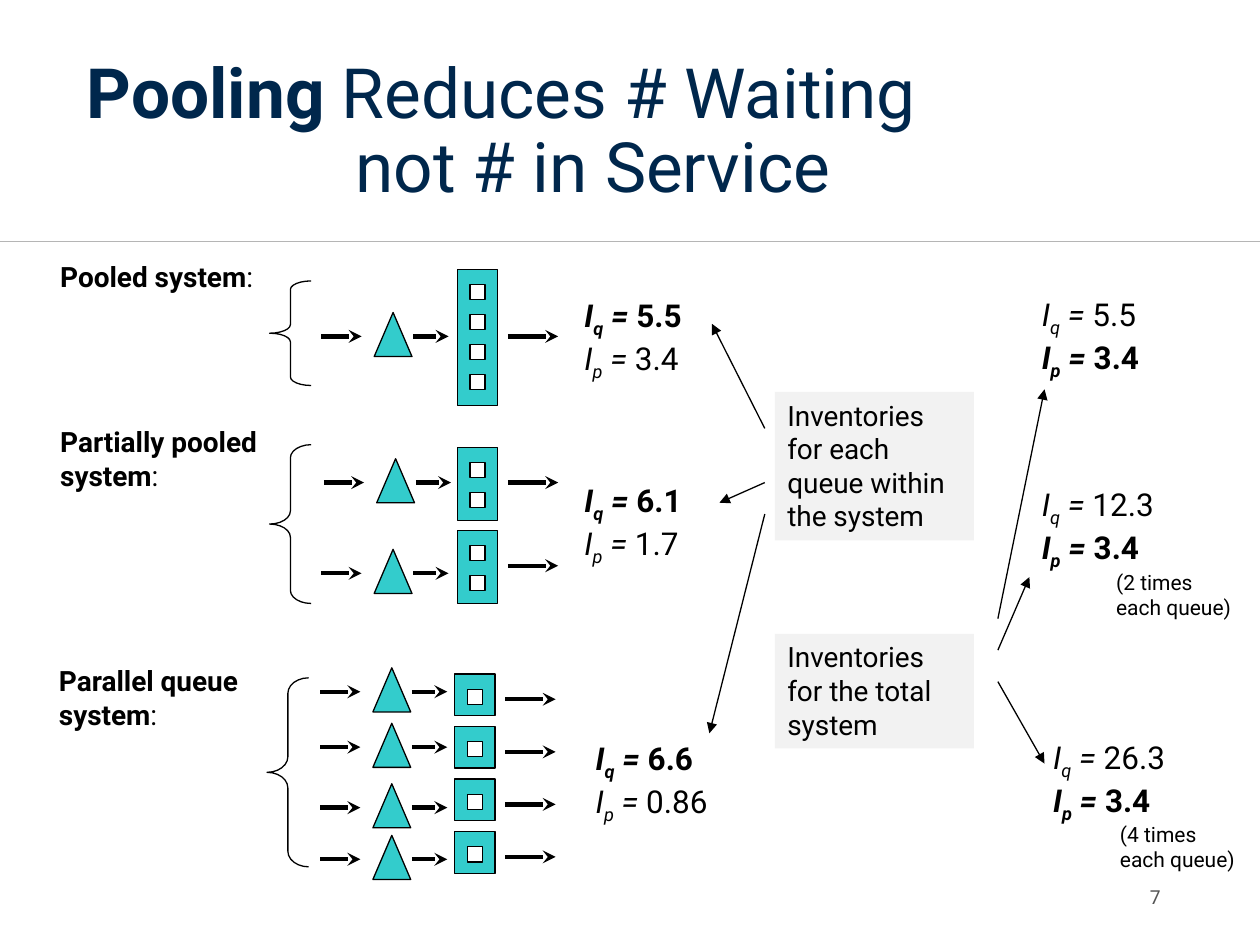
from lxml import etree
from pptx import Presentation
from pptx import util as u
from pptx.dml.color import RGBColor
from pptx.enum import shapes, text
from pptx.oxml.ns import qn

FONT = "Roboto"
COLORS = {
    "ink": "000000",
    "title": "00274C",
    "number": "545454",
    "rule": "B5B5B5",
    "teal": "33CCCC",
    "white": "FFFFFF",
    "panel": "F2F2F2",
}
SHAPE = shapes.MSO_SHAPE
ANCHOR = text.MSO_ANCHOR
ALIGN = text.PP_ALIGN


def color(name):
    return RGBColor.from_string(COLORS[name])


def inches(values):
    return [u.Inches(value) for value in values]


def add_shape(slide, kind, box, fill=None, line="ink", adjust=None):
    shape = slide.shapes.add_shape(kind, *inches(box))
    shape.shadow.inherit = False
    if adjust is not None:
        shape.adjustments[0] = adjust
    if fill:
        shape.fill.solid()
        shape.fill.fore_color.rgb = color(fill)
    else:
        shape.fill.background()
    if line:
        shape.line.color.rgb = color(line)
        shape.line.width = u.Pt(0.75)
    else:
        shape.line.fill.background()
    return shape


def add_line(slide, start, end, width=0.75, head=None, ink="ink"):
    connector = slide.shapes.add_connector(
        shapes.MSO_CONNECTOR.STRAIGHT, *inches(start + end))
    connector.line.color.rgb = color(ink)
    connector.line.width = u.Pt(width)
    if head:
        etree.SubElement(connector.line._get_or_add_ln(), qn("a:tailEnd"), type=head)
    etree.SubElement(connector._element.spPr, qn("a:effectLst"))


def add_flow(slide, left, right, y):
    add_line(slide, (left, y), (right, y), width=2.5, head="stealth")


def add_text(slide, box, paragraphs, size=16, ink="ink", align=ALIGN.LEFT,
             anchor=ANCHOR.TOP, margins=(0.1, 0.05, 0.1, 0.05), spacing=None,
             tab=None, shape=None):
    shape = shape or slide.shapes.add_textbox(*inches(box))
    frame = shape.text_frame
    frame.word_wrap = True
    frame.vertical_anchor = anchor
    (frame.margin_left, frame.margin_top,
     frame.margin_right, frame.margin_bottom) = inches(margins)
    for index, runs in enumerate(paragraphs):
        paragraph = frame.add_paragraph() if index else frame.paragraphs[0]
        if tab:
            tabs = etree.SubElement(paragraph._p.get_or_add_pPr(), qn("a:tabLst"))
            etree.SubElement(tabs, qn("a:tab"), pos=str(u.Inches(tab)), algn="l")
        paragraph.alignment = align
        if spacing:
            paragraph.line_spacing = spacing
        for content, style in runs:
            for row, part in enumerate(content.split("\n")):
                if row:
                    paragraph.add_line_break()
                run = paragraph.add_run()
                run.text = part
                run.font.name = FONT
                run.font.size = u.Pt(size)
                run.font.color.rgb = color(ink)
                run.font.bold = "b" in style
                run.font.italic = "i" in style
                if "s" in style:
                    run._r.get_or_add_rPr().set("baseline", "-25000")


def add_inventory(slide, left, top, waiting, in_service, strong):
    rows = []
    for letter, value in (("q", waiting), ("p", in_service)):
        weight = "b" if letter == strong else ""
        rows.append([("I", weight + "i"), (letter, weight + "is"),
                     (" = ", weight + "i"), (value, weight)])
    add_text(slide, (left, top, 1.33, 0.7), rows, size=18)


def add_panel(slide, box, content):
    shape = add_shape(slide, SHAPE.RECTANGLE, box, fill="panel", line=None)
    add_text(slide, box, [[(content, "")]], shape=shape)


def add_queue(slide, left, y):
    add_flow(slide, left, left + 0.32, y)
    add_shape(slide, SHAPE.ISOSCELES_TRIANGLE, (left + 0.42, y - 0.19, 0.3, 0.35), fill="teal")
    add_flow(slide, left + 0.73, left + 1.01, y)


def add_station(slide, left, top, height, servers, exit_y):
    add_shape(slide, SHAPE.RECTANGLE, (left, top, 0.32, height), fill="teal")
    for index in range(servers):
        server_top = top + 0.12 + 0.237 * index
        add_shape(slide, SHAPE.RECTANGLE, (left + 0.1, server_top, 0.12, 0.12), fill="white")
    add_flow(slide, left + 0.4, left + 0.8, exit_y)


def add_system(slide, name, label_at, brace, curve, queues, stations):
    add_text(slide, (*label_at, 2.4, 0.64), [[(name, "b"), (":", "")]])
    add_shape(slide, SHAPE.LEFT_BRACE, brace, adjust=curve)
    for queue in queues:
        add_queue(slide, *queue)
    for station in stations:
        add_station(slide, *station)


def main():
    presentation = Presentation()
    presentation.slide_width, presentation.slide_height = inches((10, 7.5))
    slide = presentation.slides.add_slide(presentation.slide_layouts[6])

    add_line(slide, (0, 1.92), (10, 1.92), width=0.5, ink="rule")
    add_text(slide, (0.69, 0.4, 8.62, 1.45),
             [[("Pooling", "b"), (" Reduces # Waiting\n\tnot # in Service", "")]],
             size=39.6, ink="title", anchor=ANCHOR.BOTTOM,
             margins=(0, 0.05, 0.1, 0.2), spacing=0.9, tab=2.13)

    add_system(slide, "Pooled system", (0.38, 2.01), (2.14, 2.23, 0.33, 0.83), 0.208,
               [(2.55, 2.67)], [(3.63, 2.14, 1.08, 4, 2.67)])
    add_system(slide, "Partially pooled system", (0.38, 3.32),
               (2.14, 3.53, 0.33, 1.26), 0.316,
               [(2.57, 3.83), (2.55, 4.55)],
               [(3.63, top, 0.58, 2, top + 0.28) for top in (3.55, 4.21)])
    parallel_tops = [5.35 + 0.417 * index for index in range(4)]
    add_system(slide, "Parallel queue system", (0.37, 5.22),
               (2.12, 5.38, 0.33, 1.5), 0.375,
               [(2.54, y) for y in (5.49, 5.93, 6.41, 6.82)],
               [(3.61, top, 0.33, 1, top + 0.2) for top in parallel_tops])

    for inventory in (
        (4.54, 2.3, "5.5", "3.4", "q"),
        (4.54, 3.77, "6.1", "1.7", "q"),
        (4.63, 5.82, "6.6", "0.86", "q"),
        (8.17, 2.29, "5.5", "3.4", "p"),
        (8.17, 3.8, "12.3", "3.4", "p"),
        (8.26, 5.81, "26.3", "3.4", "p"),
    ):
        add_inventory(slide, *inventory)

    add_panel(slide, (6.15, 3.11, 1.58, 1.18), "Inventories for each queue within the system")
    add_panel(slide, (6.15, 5.03, 1.58, 0.91), "Inventories for the total system")
    for start, end in (
        ((6.07, 3.4), (5.65, 2.57)),
        ((6.07, 3.83), (5.71, 3.99)),
        ((6.07, 4.08), (5.63, 5.82)),
        ((7.92, 4.91), (8.29, 3.09)),
        ((7.92, 5.16), (8.17, 4.58)),
        ((7.92, 5.41), (8.29, 6.06)),
    ):
        add_line(slide, start, end, head="triangle")

    for left, top, count in ((8.76, 4.47, 2), (8.79, 6.47, 4)):
        add_text(slide, (left, top, 1.25, 0.5),
                 [[(f"({count} times\neach queue)", "")]], size=12)
    add_text(slide, (8.47, 6.92, 0.84, 0.4), [[("7", "")]], size=11,
             ink="number", align=ALIGN.RIGHT, anchor=ANCHOR.MIDDLE)

    presentation.save("out.pptx")


if __name__ == "__main__":
    main()
